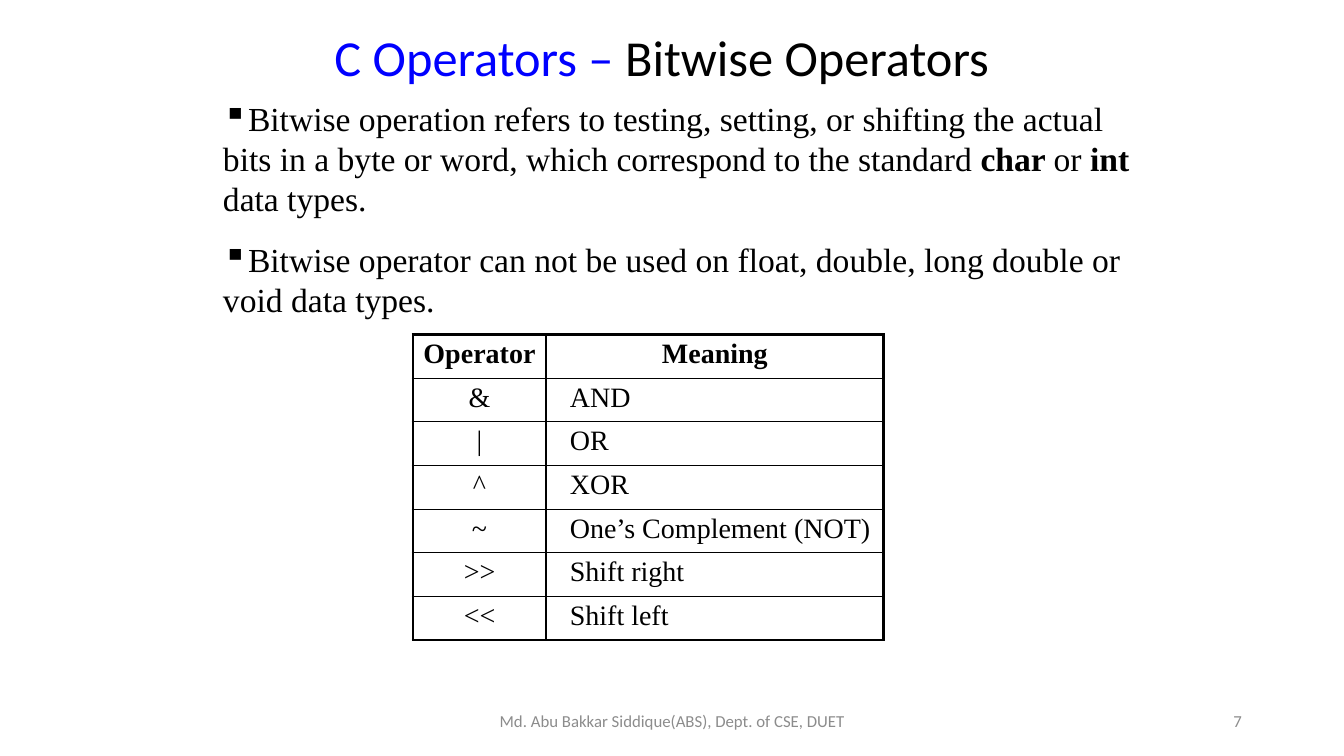
from pptx import Presentation
from pptx.dml.color import RGBColor as RGB
from pptx.enum.text import MSO_ANCHOR as ANCHOR, PP_ALIGN as ALIGN
from pptx.oxml.ns import qn
from pptx.util import Cm, Pt
from lxml.etree import SubElement

THEME = {
    "black": RGB(0, 0, 0),
    "blue": RGB(0, 0, 255),
    "grey": RGB(0x8C, 0x8C, 0x8C),
    "heading_font": "Calibri",
    "body_font": "Times New Roman",
    "title_size": Pt(36),
    "body_size": Pt(24),
    "table_size": Pt(20),
    "footer_size": Pt(12),
    "thick": Pt(2.25),
    "thin": Pt(1),
}


def style(r, font, size, color, bold=False):
    r.font.name = THEME[font]
    r.font.size = THEME[size]
    r.font.color.rgb = THEME[color]
    r.font.bold = bold


def add_text_box(s, left, top, width, height, anchor, inset):
    tf = s.shapes.add_textbox(Cm(left), Cm(top), Cm(width), Cm(height)).text_frame
    tf.word_wrap = True
    tf.vertical_anchor = anchor
    tf.margin_left = tf.margin_right = Cm(inset)
    tf.margin_top = tf.margin_bottom = Cm(inset / 2)
    return tf


prs = Presentation()
prs.slide_width, prs.slide_height = Cm(33.87), Cm(19.05)
s = prs.slides.add_slide(prs.slide_layouts[6])

footers = [
    ("Md. Abu Bakkar Siddique(ABS), Dept. of CSE, DUET", 11.23, 11.43, ALIGN.CENTER),
    ("7", 23.93, 7.62, ALIGN.RIGHT),
]
for text, left, width, align in footers:
    tf = add_text_box(s, left, 17.65, width, 1.02, ANCHOR.MIDDLE, 0.25)
    tf.text = text
    p = tf.paragraphs[0]
    p.alignment = align
    style(p.runs[0], "heading_font", "footer_size", "grey")

bullets = [
    (1, [
        ("Bitwise operation refers to testing, setting, or shifting the actual bits "
         "in a byte or word, which correspond to the standard ", False),
        ("char ", True),
        ("or ", False),
        ("int ", True),
        ("data types.", False),
    ]),
    (14.4, [
        ("Bitwise operator can not be used on float, double, long double or "
         "void data types.", False),
    ]),
]
tf = add_text_box(s, 5.59, 2.46, 23.62, 5.66, ANCHOR.TOP, 0)
for i, (space, parts) in enumerate(bullets):
    p = tf.add_paragraph() if i else tf.paragraphs[0]
    p.space_before = Pt(space)
    pPr = p._p.get_or_add_pPr()
    pPr.set("marL", str(Cm(0.03)))
    pPr.set("indent", "0")
    SubElement(pPr, qn("a:buChar"), char="▪")
    for text, bold in parts:
        r = p.add_run()
        r.text = text
        style(r, "body_font", "body_size", "black", bold)

tf = add_text_box(s, 8.43, 0.64, 17.98, 1.57, ANCHOR.MIDDLE, 0)
p = tf.paragraphs[0]
p.space_before = Pt(1)
for text, color in [("C Operators – ", "blue"), ("Bitwise Operators", "black")]:
    r = p.add_run()
    r.text = text
    style(r, "heading_font", "title_size", color)

operators = [
    ("Operator", "Meaning"),
    ("&", "AND"),
    ("|", "OR"),
    ("^", "XOR"),
    ("~", "One’s Complement (NOT)"),
    (">>", "Shift right"),
    ("<<", "Shift left"),
]
last = len(operators) - 1
col_widths = [3.35, 8.51]
row_height = 1.1
frame = s.shapes.add_table(len(operators), 2, Cm(10.41), Cm(8.43),
                           Cm(sum(col_widths)), Cm(row_height * len(operators)))
table = frame.table
table.first_row = table.horz_banding = False
for col, width in zip(table.columns, col_widths):
    col.width = Cm(width)

for i, row in enumerate(operators):
    table.rows[i].height = Cm(row_height)
    for j, text in enumerate(row):
        cell = table.cell(i, j)
        cell.margin_left = cell.margin_right = cell.margin_bottom = 0
        cell.margin_top = Cm(0.1)
        cell.text = text
        p = cell.text_frame.paragraphs[0]
        p.space_before = Pt(3)
        style(p.runs[0], "body_font", "table_size", "black", i == 0)
        if i == 0 or j == 0:
            p.alignment = ALIGN.CENTER
        else:
            pPr = p._p.get_or_add_pPr()
            pPr.set("marL", str(Cm(0.6)))
            pPr.set("indent", "0")

        outer = {"lnL": j == 0, "lnR": j == 1, "lnT": i == 0, "lnB": i == last}
        tcPr = cell._tc.get_or_add_tcPr()
        for side, is_outer in outer.items():
            width = THEME["thick" if is_outer else "thin"]
            ln = SubElement(tcPr, qn(f"a:{side}"), w=str(width))
            fill = SubElement(ln, qn("a:solidFill"))
            SubElement(fill, qn("a:srgbClr"), val=str(THEME["black"]))
        cell.fill.background()

prs.save("out.pptx")
